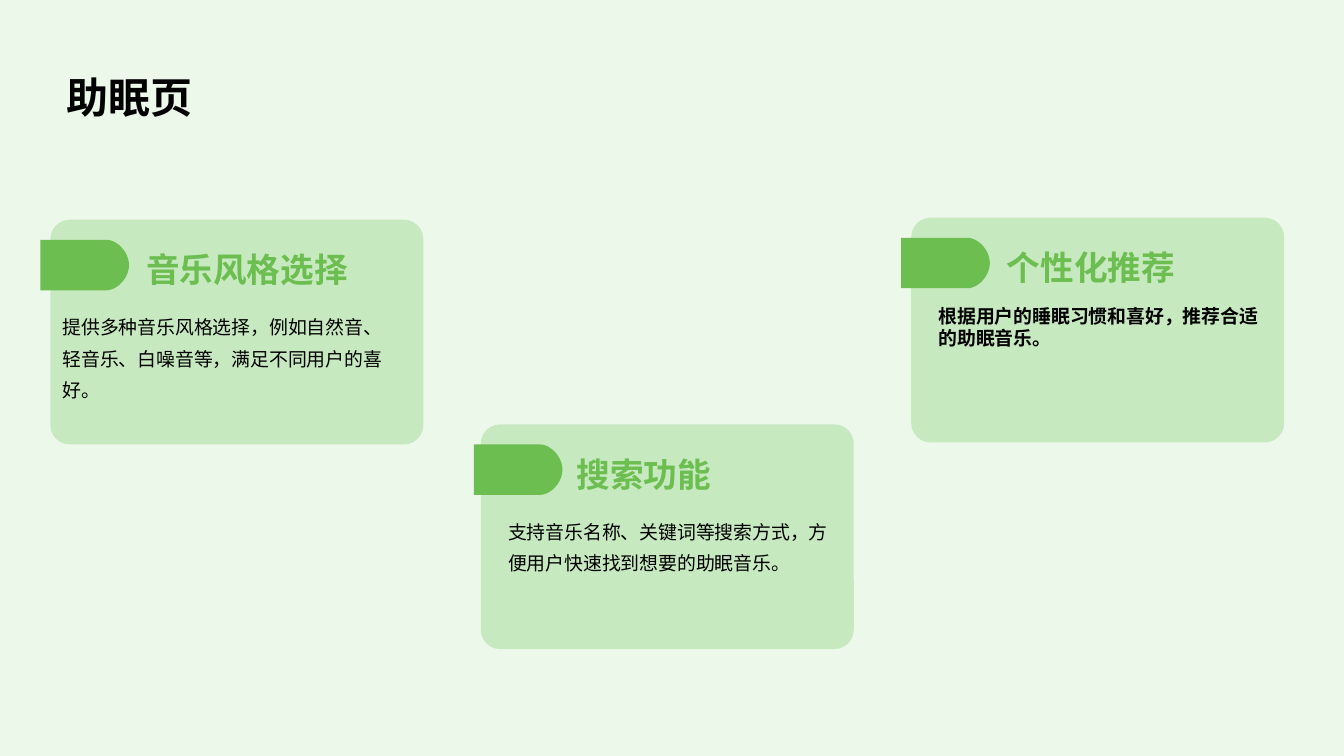
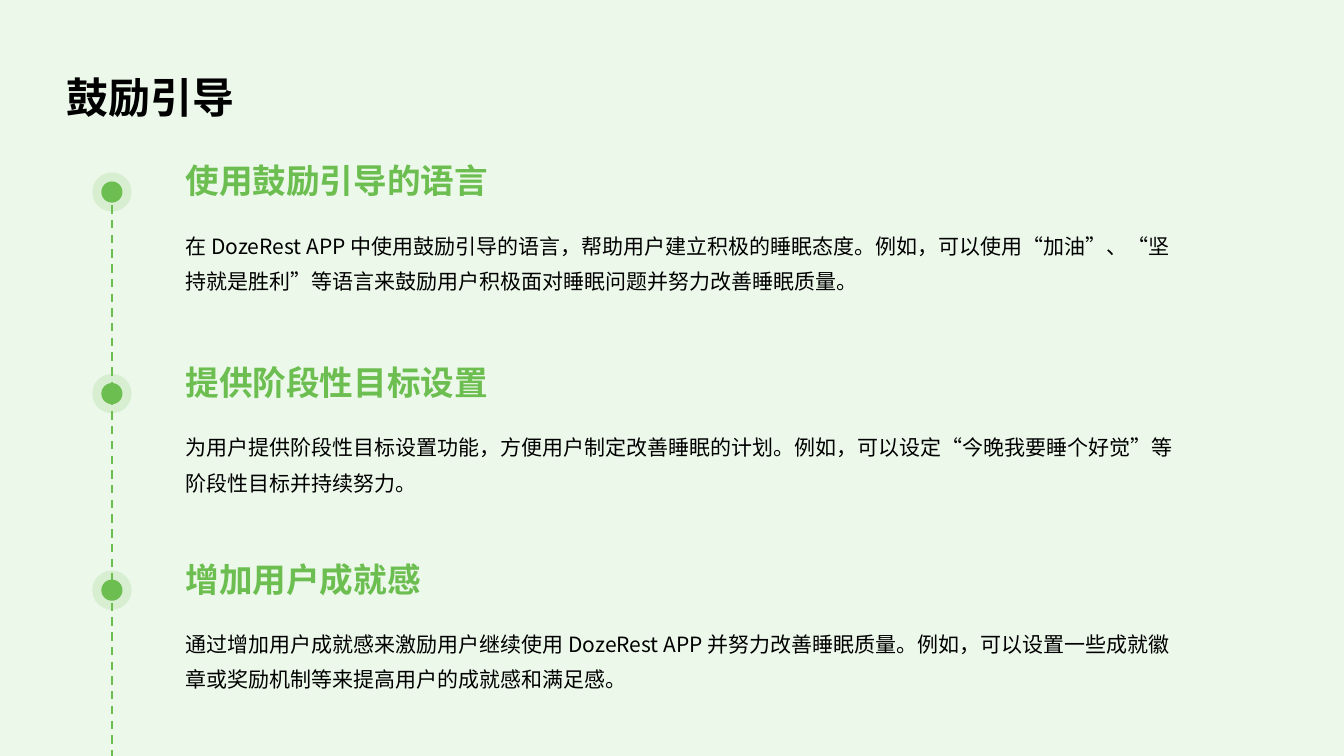
from lxml import etree
from pptx import Presentation
from pptx import util as u
from pptx.dml import color
from pptx.enum import dml, shapes, text
from pptx.oxml import ns

FONT = "Noto Sans CJK SC"
BACKGROUND, CARD, ACCENT, INK = "ECF8EA", "C7E9BF", "6CBE50", "000000"
COLUMNS, ROWS = 133.33, 75
CELL = u.Inches(0.1)
CARD_SIZE = (37, 22.3)

CARDS = [
    dict(origin=(5, 21.8), tab_left=-1, heading="音乐风格选择",
         body="提供多种音乐风格选择，例如自然音、轻音乐、白噪音等，满足不同用户的喜好。",
         body_left=1.2, body_width=33.4, style=dict(spacing=1.4)),
    dict(origin=(47.7, 42.1), tab_left=-0.7, heading="搜索功能",
         body="支持音乐名称、关键词等搜索方式，方便用户快速找到想要的助眠音乐。",
         body_left=2.7, body_width=32.1, style=dict(spacing=1.4)),
    dict(origin=(90.4, 21.6), tab_left=-1, heading="个性化推荐",
         body="根据用户的睡眠习惯和喜好，推荐合适的助眠音乐。",
         body_left=2.7, body_width=32.1, style=dict(bold=True, before=3.8)),
]

MILESTONES = [
    (14.9, "使用鼓励引导的语言",
     "在 DozeRest APP 中使用鼓励引导的语言，帮助用户建立积极的睡眠态度。例如，可以使用“加油”、“坚持就是胜利”等语言来鼓励用户积极面对睡眠问题并努力改善睡眠质量。"),
    (34.9, "提供阶段性目标设置",
     "为用户提供阶段性目标设置功能，方便用户制定改善睡眠的计划。例如，可以设定“今晚我要睡个好觉”等阶段性目标并持续努力。"),
    (54.4, "增加用户成就感",
     "通过增加用户成就感来激励用户继续使用 DozeRest APP 并努力改善睡眠质量。例如，可以设置一些成就徽章或奖励机制等来提高用户的成就感和满足感。"),
]


def grid(*cells):
    return [int(cell * CELL) for cell in cells]


def rgb(value):
    return color.RGBColor.from_string(value)


def paint(shape, fill, opacity=None):
    shape.shadow.inherit = False
    shape.fill.solid()
    shape.fill.fore_color.rgb = rgb(fill)
    shape.line.fill.background()
    if opacity is not None:
        solid = shape.fill._xPr.find(ns.qn("a:solidFill"))
        etree.SubElement(solid[0], ns.qn("a:alpha"), val=str(opacity * 1000))


def add_text(slide, box, content, size=13.5, fill=INK, bold=False, spacing=1.0,
             before=0, anchor=text.MSO_ANCHOR.TOP, insets=(0, 0, 0, 0)):
    frame = slide.shapes.add_textbox(*grid(*box)).text_frame
    frame.word_wrap = True
    frame.vertical_anchor = anchor
    (frame.margin_left, frame.margin_top,
     frame.margin_right, frame.margin_bottom) = grid(*insets)
    paragraph = frame.paragraphs[0]
    paragraph.line_spacing = spacing
    paragraph.space_before = u.Pt(before)
    run = paragraph.add_run()
    run.text = content
    run.font.name = FONT
    run.font.size = u.Pt(size)
    run.font.bold = bold
    run.font.color.rgb = rgb(fill)
    etree.SubElement(run.font._element, ns.qn("a:ea"), typeface=FONT)


def add_heading(slide, box, content, anchor):
    add_text(slide, box, content, size=24, fill=ACCENT, bold=True,
             spacing=1.2, anchor=anchor)


def add_titled_slide(presentation, title):
    slide = presentation.slides.add_slide(presentation.slide_layouts[6])
    add_text(slide, (5.2, 2.9, 122.9, 10), title, size=30, bold=True, spacing=1.4,
             anchor=text.MSO_ANCHOR.MIDDLE, insets=(1.4, 1.4, 0.6, 0))
    return slide


def curve(points, steps=12):
    for step in range(1, steps + 1):
        t = step / steps
        weights = ((1 - t) ** 3, 3 * t * (1 - t) ** 2, 3 * t * t * (1 - t), t ** 3)
        yield tuple(sum(w * point[axis] for w, point in zip(weights, points))
                    for axis in (0, 1))


def add_tab(slide, left, top):
    shoulder, tip, height = 6.6, 8.8, 5
    upper = [(shoulder, 0), (7.6, 0), (tip, 1.2), (tip, height / 2)]
    lower = [(x, height - y) for x, y in reversed(upper)]
    outline = [upper[0], *curve(upper), *curve(lower), (0, height)]
    builder = slide.shapes.build_freeform(*grid(left, top))
    builder.add_line_segments([grid(left + x, top + y) for x, y in outline])
    paint(builder.convert_to_shape(), ACCENT)


def add_card(slide, origin, tab_left, heading, body, body_left, body_width, style):
    left, top = origin
    panel = slide.shapes.add_shape(shapes.MSO_SHAPE.ROUNDED_RECTANGLE,
                                   *grid(left, top, *CARD_SIZE))
    panel.adjustments[0] = 0.086
    paint(panel, CARD)
    add_tab(slide, left + tab_left, top + 2)
    add_heading(slide, (left + 9.5, top + 2, 21.7, 5), heading,
                text.MSO_ANCHOR.MIDDLE)
    add_text(slide, (left + body_left, top + 8.6, body_width, 9.9), body, **style)


def add_marker(slide, center_x, center_y):
    group = slide.shapes.add_group_shape()
    for diameter, opacity in ((2.1, None), (3.9, 16)):
        disc = group.shapes.add_shape(
            shapes.MSO_SHAPE.OVAL,
            *grid(center_x - diameter / 2, center_y - diameter / 2, diameter, diameter))
        paint(disc, ACCENT, opacity)


def add_milestone(slide, left, top, heading, body):
    add_heading(slide, (left, top, 97.8, 5), heading, text.MSO_ANCHOR.BOTTOM)
    add_text(slide, (left, top + 7.25, 98.1, 7.3), body, size=15, spacing=1.4)
    add_marker(slide, left - 7.3, top + 4.15)


def add_timeline(slide, x, top, bottom):
    line = slide.shapes.add_connector(shapes.MSO_CONNECTOR.STRAIGHT,
                                      *grid(x, top, x, bottom))
    line.line.color.rgb = rgb(ACCENT)
    line.line.width = u.Pt(1.5)
    line.line.dash_style = dml.MSO_LINE.DASH
    etree.SubElement(line.line._get_or_add_ln(), ns.qn("a:tailEnd"), type="triangle")
    etree.SubElement(line._element.spPr, ns.qn("a:effectLst"))


def build_sleep_page(presentation):
    slide = add_titled_slide(presentation, "助眠页")
    for card in CARDS:
        add_card(slide, **card)


def build_encouragement_page(presentation):
    slide = add_titled_slide(presentation, "鼓励引导")
    for top, heading, body in MILESTONES:
        add_milestone(slide, 18.4, top, heading, body)
    add_timeline(slide, 11.1, 18.9, ROWS + 0.9)


def main():
    presentation = Presentation()
    presentation.slide_width, presentation.slide_height = grid(COLUMNS, ROWS)
    fill = presentation.slide_master.background.fill
    fill.solid()
    fill.fore_color.rgb = rgb(BACKGROUND)
    build_sleep_page(presentation)
    build_encouragement_page(presentation)
    presentation.save("out.pptx")


if __name__ == "__main__":
    main()
